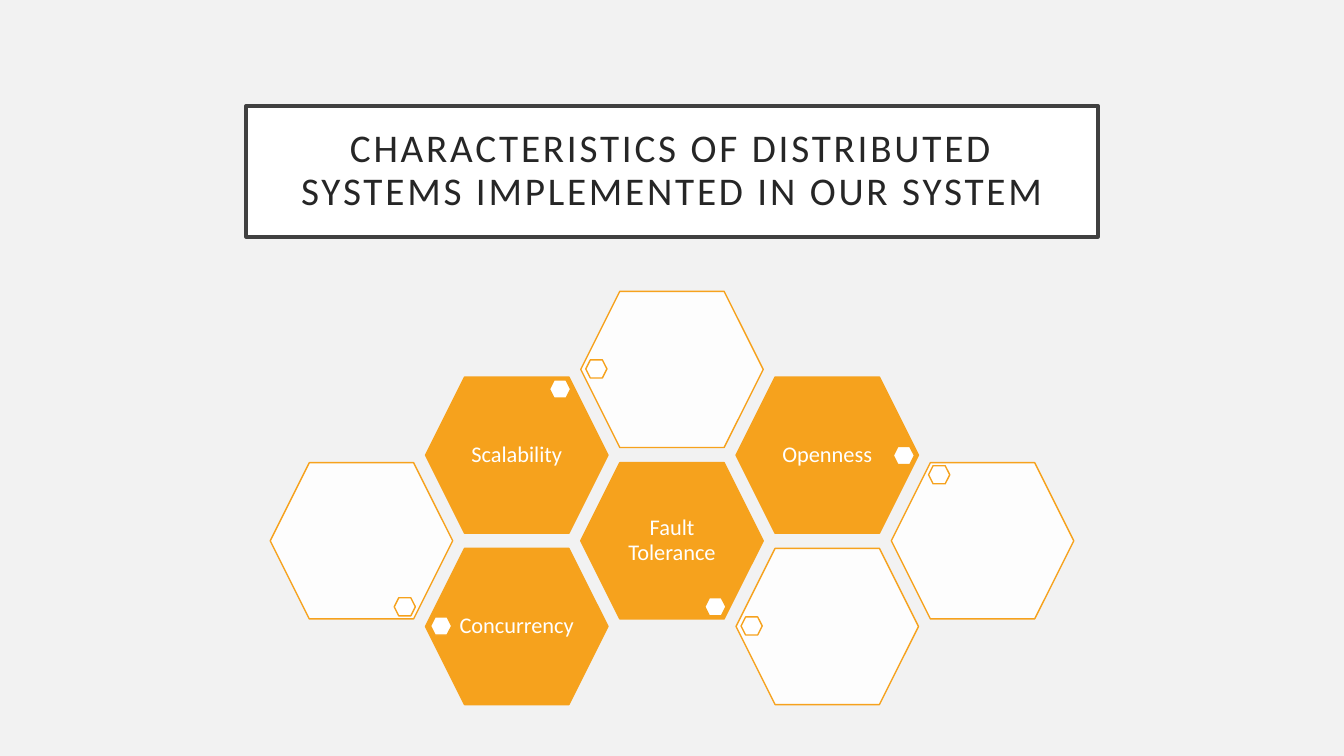
from lxml.etree import SubElement
from pptx import Presentation
from pptx.dml.color import RGBColor
from pptx.enum.shapes import MSO_SHAPE as Shape
from pptx.enum.text import MSO_ANCHOR as Anchor, PP_ALIGN as Align
from pptx.oxml.ns import qn
from pptx.util import Inches, Pt

COLORS = {"backdrop": "F2F2F2", "white": "FFFFFF", "orange": "F6A21D",
          "frame": "404040", "heading": "262626"}
FONT = "Calibri"

# Honeycomb: columns are one step apart, rows half a cell apart
LEFT, TOP, COLUMN_STEP, ROW_STEP = 2.68, 2.89, 1.54, 0.85
CELL_SIZE, DOT_SIZE, LABEL_SIZE = (1.81, 1.55), (0.21, 0.18), (1.25, 1.07)
LABEL_OFFSET = (0.28, 0.24)
DOT_OFFSETS = {"left": (0.05, 0.68), "right": (1.56, 0.69),
               "top left": (0.37, 0.03), "top right": (1.23, 0.03),
               "bottom right": (1.23, 1.34)}

# Column, row, label, place of the small hexagon
CELLS = [
    (1, 3, "Concurrency", "left"),
    (0, 2, "", "bottom right"),
    (2, 2, "Fault Tolerance", "bottom right"),
    (3, 3, "", "left"),
    (1, 1, "Scalability", "top right"),
    (2, 0, "", "left"),
    (3, 1, "Openness", "right"),
    (4, 2, "", "top left"),
]


def rgb(name):
    return RGBColor.from_string(COLORS[name])


class Deck:
    def __init__(self, width, height):
        self.file = Presentation()
        self.file.slide_width, self.file.slide_height = Inches(width), Inches(height)
        self.slide = self.file.slides.add_slide(self.file.slide_layouts[6])
        self.slide.background.fill.solid()
        self.slide.background.fill.fore_color.rgb = rgb("backdrop")

    def shape(self, kind, place, size, fill, line, weight, opacity=100):
        shape = self.slide.shapes.add_shape(kind, *map(Inches, place + size))
        shape.shadow.inherit = False
        shape.fill.solid()
        shape.fill.fore_color.rgb = rgb(fill)
        shape.line.color.rgb = rgb(line)
        shape.line.width = Pt(weight)
        if opacity < 100:
            color = shape._element.spPr.find(qn("a:solidFill"))[0]
            SubElement(color, qn("a:alpha"), val=str(opacity * 1000))
        return shape

    def add_text(self, shape, text, size, color, inset_x, inset_y, spacing=0):
        frame = shape.text_frame
        formats = {"word_wrap": True, "vertical_anchor": Anchor.MIDDLE,
                   "margin_left": Inches(inset_x), "margin_right": Inches(inset_x),
                   "margin_top": Inches(inset_y), "margin_bottom": Inches(inset_y)}
        for name, value in formats.items():
            setattr(frame, name, value)
        paragraph = frame.paragraphs[0]
        paragraph.alignment, paragraph.line_spacing = Align.CENTER, 0.9
        run = paragraph.add_run()
        run.text = text
        run.font.name, run.font.size = FONT, Pt(size)
        run.font.color.rgb = rgb(color)
        if spacing:
            run.font._element.set("spc", str(spacing * 100))

    def title(self, text, place, size):
        box = self.shape(Shape.RECTANGLE, place, size, "white", "frame", 2.5)
        self.add_text(box, text, 28, "heading", 0.2, 0.2, spacing=2)

    def hexagon(self, place, size, fill, opacity=100):
        self.shape(Shape.HEXAGON, place, size, fill, "orange", 1, opacity)

    def label(self, text, place):
        box = self.slide.shapes.add_textbox(*map(Inches, place + LABEL_SIZE))
        self.add_text(box, text, 16, "white", 0, 0.02)

    def cell(self, column, row, text, dot):
        x, y = LEFT + column * COLUMN_STEP, TOP + row * ROW_STEP

        def inside(offset):
            return x + offset[0], y + offset[1]

        if text:
            self.hexagon((x, y), CELL_SIZE, "orange")
            self.label(text, inside(LABEL_OFFSET))
        else:
            self.hexagon((x, y), CELL_SIZE, "white", opacity=90)
        self.hexagon(inside(DOT_OFFSETS[dot]), DOT_SIZE, "white")


deck = Deck(13.33, 7.5)

# Title
deck.title("CHARACTERISTICS OF DISTRIBUTED SYSTEMS IMPLEMENTED IN OUR SYSTEM",
           (2.44, 1.05), (8.45, 1.3))

# Honeycomb of characteristics
for cell in CELLS:
    deck.cell(*cell)

deck.file.save("out.pptx")
